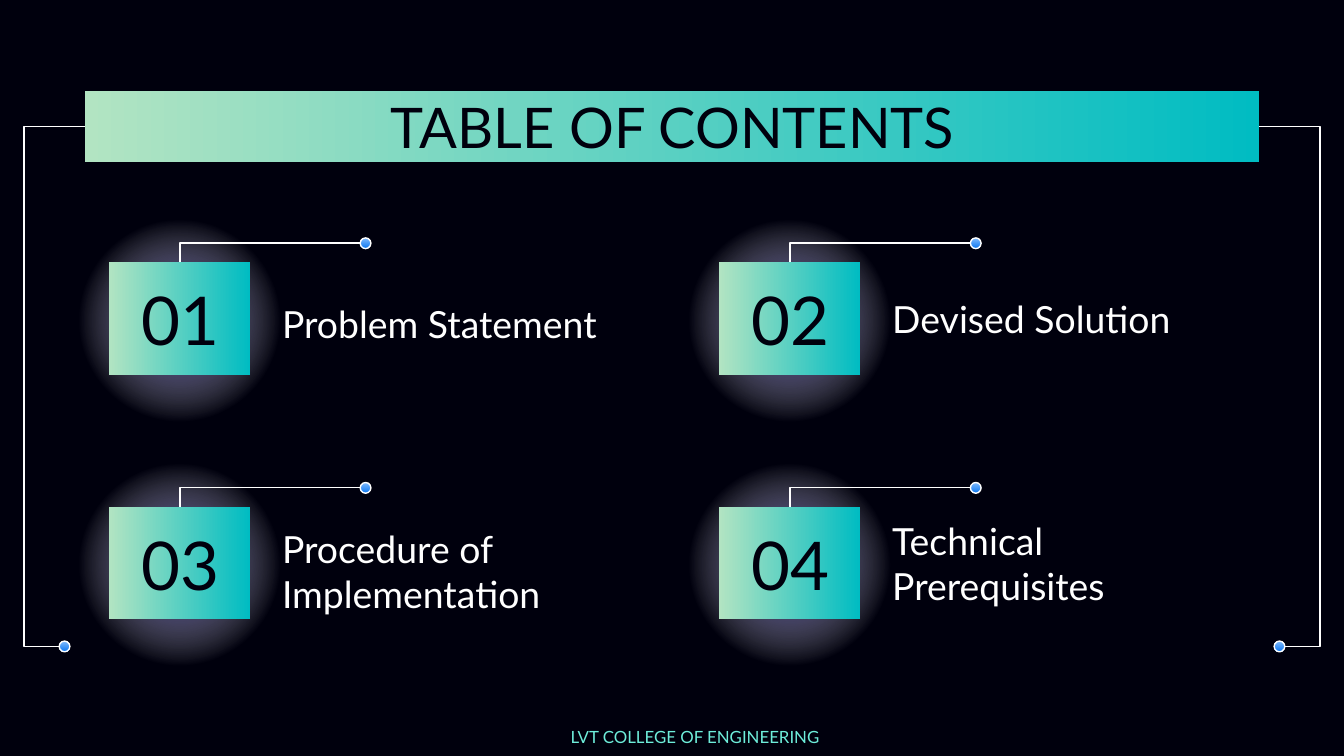
import lxml.etree
import pptx
import pptx.dml.color
import pptx.enum.shapes
import pptx.enum.text
import pptx.oxml
import pptx.oxml.ns
import pptx.util

COLORS = {"night": "00000D", "white": "FFFFFF", "teal": "00BCC2", "mint": "B2E4C2",
          "glow": "170F8D", "sky": "82BCFE", "blue": "0C77F1", "aqua": "6EEDDA"}
RGB = {name: pptx.dml.color.RGBColor.from_string(code) for name, code in COLORS.items()}
SHAPE = pptx.enum.shapes.MSO_SHAPE
ELBOW = pptx.enum.shapes.MSO_CONNECTOR.ELBOW
ANCHOR = pptx.enum.text.MSO_ANCHOR
ALIGN = pptx.enum.text.PP_ALIGN
LINE_WIDTH = pptx.util.Pt(0.75)

deck = pptx.Presentation()
deck.slide_width = pptx.util.Inches(10)
deck.slide_height = deck.slide_width * 9 // 16
COLUMN = deck.slide_width / 100
ROW = deck.slide_height / 56.25

page = deck.slides.add_slide(deck.slide_layouts[6])
page.background.fill.solid()
page.background.fill.fore_color.rgb = RGB["night"]


def add_panel(kind, left, top, width, height, start, finish, angle):
    panel = page.shapes.add_shape(kind, round(left * COLUMN), round(top * ROW),
                                  round(width * COLUMN), round(height * ROW))
    panel.shadow.inherit = False
    panel.line.fill.background()
    panel.fill.gradient()
    panel.fill.gradient_angle = angle
    for stop, name in zip(panel.fill.gradient_stops, (start, finish)):
        stop.color.rgb = RGB[name]
    return panel


def add_text(text, left, top, width, height, size, color, align, anchor):
    box = page.shapes.add_textbox(round(left * COLUMN), round(top * ROW),
                                  round(width * COLUMN), round(height * ROW))
    frame = box.text_frame
    frame.word_wrap = True
    frame.vertical_anchor = anchor
    frame.margin_left = frame.margin_right = pptx.util.Inches(0.1)
    frame.margin_top = frame.margin_bottom = pptx.util.Inches(0.1)
    frame.text = text
    para = frame.paragraphs[0]
    para.alignment = align
    font = para.runs[0].font
    font.name = "Lato"
    font.size = pptx.util.Pt(size)
    font.color.rgb = RGB[color]


GLOW_FILL = f"""<a:gradFill {pptx.oxml.ns.nsdecls("a")}><a:gsLst>
<a:gs pos="0"><a:srgbClr val="{COLORS["glow"]}"/></a:gs>
<a:gs pos="61000"><a:srgbClr val="{COLORS["white"]}"><a:alpha val="0"/></a:srgbClr></a:gs>
<a:gs pos="100000"><a:srgbClr val="{COLORS["white"]}"><a:alpha val="0"/></a:srgbClr></a:gs>
</a:gsLst><a:path path="circle"><a:fillToRect l="50000" t="50000" r="50000" b="50000"/></a:path>
</a:gradFill>"""

add_panel(SHAPE.RECTANGLE, 6.3, 6.8, 87.4, 5.3, "teal", "mint", 180)
add_text("TABLE OF CONTENTS", 7.9, 5.9, 84.3, 6.3, 30, "night", ALIGN.CENTER, ANCHOR.TOP)

topics = [("Problem Statement", 21.2, 26.9, 5.8), ("Devised Solution", 20.8, 23.3, 5.8),
          ("Procedure of Implementation", 37.7, 29.9, 9.6),
          ("Technical Prerequisites", 39, 26.9, 5.8)]
links = [("bentConnector3", 4.4, 48.1, 6.3, 9.4), ("bentConnector3", 95.6, 48.1, 93.7, 9.4)]

for index, (topic, label_top, label_width, label_height) in enumerate(topics):
    left = 4.5 + 45.4 * (index % 2)
    top = 15.3 + 18.2 * (index // 2)
    glow = add_panel(SHAPE.OVAL, left, top, 17.7, 17.1, "glow", "white", 0)
    plain_fill = glow.fill._xPr.find(pptx.oxml.ns.qn("a:gradFill"))
    plain_fill.getparent().replace(plain_fill, pptx.oxml.parse_xml(GLOW_FILL))
    add_panel(SHAPE.RECTANGLE, left + 3.6, top + 4.2, 10.5, 8.4, "teal", "mint", 180)
    add_text(f"{index + 1:02}", left + 4.5, top + 5.5, 8.8, 5.8, 36, "night",
             ALIGN.CENTER, ANCHOR.MIDDLE)
    add_text(topic, left + 15.5, label_top, label_width, label_height, 20, "white",
             ALIGN.LEFT, ANCHOR.MIDDLE)
    links.append(("bentConnector2", left + 22.3, top + 2.8, left + 8.9, top + 4.2))

for bend, start_x, start_y, end_x, end_y in links:
    link = page.shapes.add_connector(ELBOW, round(start_x * COLUMN), round(start_y * ROW),
                                     round(end_x * COLUMN), round(end_y * ROW))
    link.line.color.rgb = RGB["white"]
    link.line.width = LINE_WIDTH
    properties = link._element.spPr
    lxml.etree.SubElement(properties, pptx.oxml.ns.qn("a:effectLst"))
    geometry = properties.find(pptx.oxml.ns.qn("a:prstGeom"))
    geometry.set("prst", bend)
    if bend == "bentConnector3":
        guides = geometry.find(pptx.oxml.ns.qn("a:avLst"))
        lxml.etree.SubElement(guides, pptx.oxml.ns.qn("a:gd"), name="adj1", fmla="val -137000")
    dot_left = start_x - 0.8 if start_x > 90 else start_x
    dot = add_panel(SHAPE.OVAL, dot_left, start_y - 0.4, 0.8, 0.8, "sky", "blue", 270)
    dot.line.color.rgb = RGB["white"]
    dot.line.width = LINE_WIDTH

add_text("LVT COLLEGE OF ENGINEERING", 33.8, 53.3, 35.8, 3.5, 9, "aqua", ALIGN.CENTER, ANCHOR.TOP)

deck.save("out.pptx")
